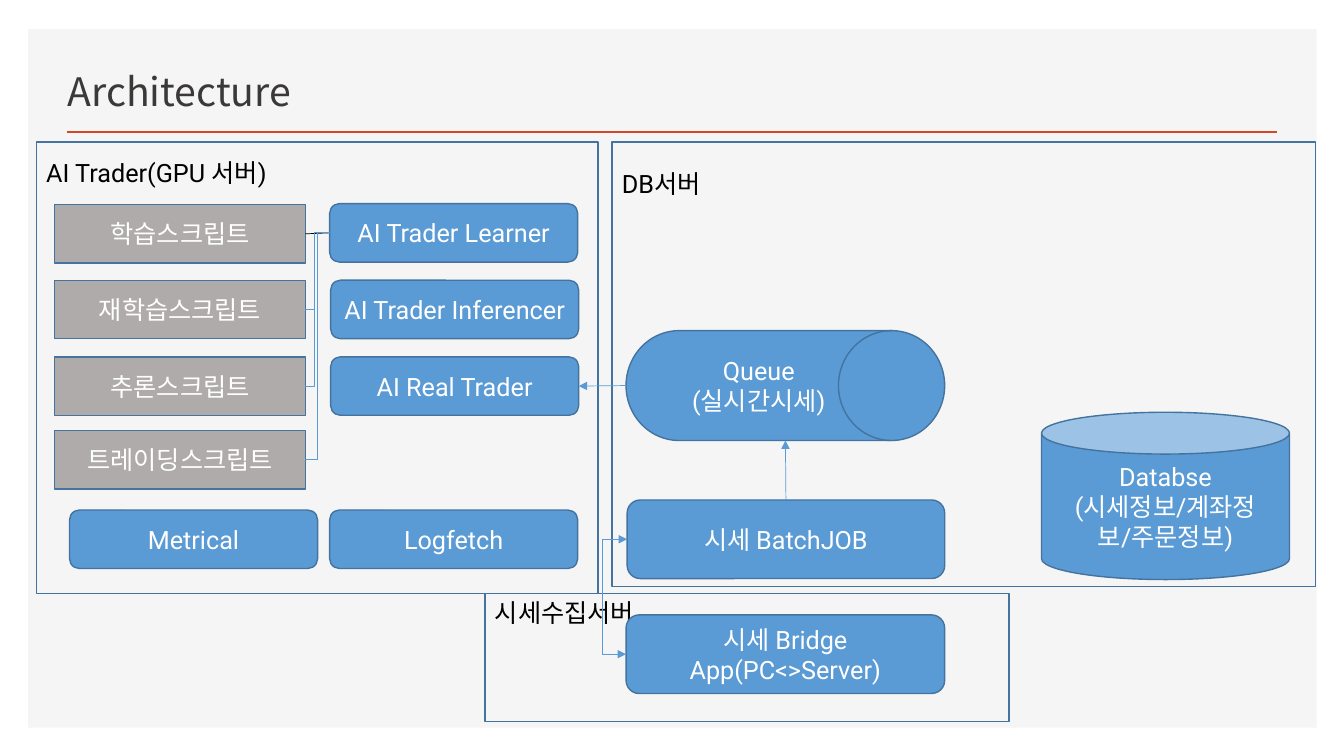
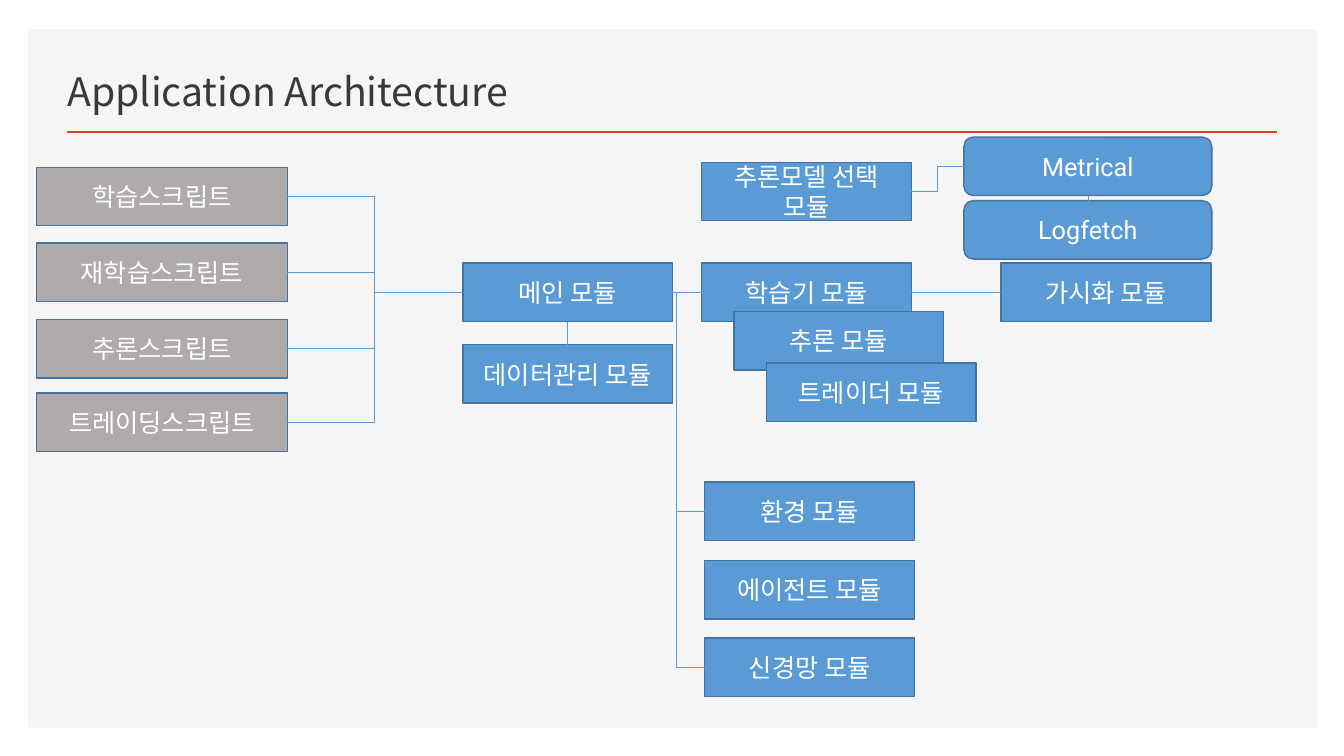
"""Build two architecture slides made of labelled boxes and links."""
from dataclasses import dataclass
from typing import Any, NamedTuple, Optional

from lxml.etree import SubElement
from pptx import Presentation
from pptx.dml.color import RGBColor
from pptx.enum.shapes import MSO_CONNECTOR, MSO_SHAPE
from pptx.enum.text import MSO_ANCHOR, MSO_AUTO_SIZE, PP_ALIGN
from pptx.oxml.ns import qn
from pptx.util import Inches, Pt

TOP, LEFT, BOTTOM, RIGHT = range(4)


@dataclass(frozen=True)
class Theme:
    """Colours, fonts and sizes shared by the slides."""
    canvas: str = "F5F5F5"
    rule: str = "D24726"
    title: str = "3B3838"
    blue: str = "5B9BD5"
    gray: str = "AFABAB"
    border: str = "43739E"
    white: str = "FFFFFF"
    black: str = "000000"
    title_font: str = "Noto Sans CJK KR"
    body_font: str = "Roboto"
    title_size: float = 28
    body_size: float = 18
    rule_width: float = 2
    border_width: float = 1
    link_width: float = 0.5


THEME = Theme()


class Box(NamedTuple):
    """A filled box; its first line of text is its key."""
    text: str
    left: float
    top: float
    width: float
    height: float = 0.58
    fill: str = THEME.blue
    kind: MSO_SHAPE = MSO_SHAPE.ROUNDED_RECTANGLE


class Panel(NamedTuple):
    """An outlined server area with its label near the top."""
    text: str
    left: float
    top: float
    width: float
    height: float
    label_gap: float


class Link(NamedTuple):
    """A connector between two box sides, optionally turning at a given x."""
    start: str
    start_side: int
    end: str
    end_side: int
    elbow: bool = False
    turn: Optional[float] = None
    heads: tuple[str, ...] = ()
    color: str = THEME.blue


SCRIPTS = ("학습스크립트", "재학습스크립트", "추론스크립트", "트레이딩스크립트")


def script_boxes(left: float, top: float) -> list[Box]:
    """Return the column of script boxes."""
    return [Box(name, left, top + offset, 2.49, fill=THEME.gray, kind=MSO_SHAPE.RECTANGLE)
            for name, offset in zip(SCRIPTS, (0, 0.75, 1.51, 2.24))]


def tool_box(name: str, left: float, top: float) -> Box:
    """Return a rounded tool box."""
    return Box(name, left, top, 2.46)


def module_box(name: str, left: float, top: float) -> Box:
    """Return a square-cornered module box."""
    return Box(f"{name} 모듈", left, top, 2.08, kind=MSO_SHAPE.RECTANGLE)


def apply(target: Any, values: dict[str, Any]) -> None:
    """Set attributes from a dict of values."""
    for name, value in values.items():
        setattr(target, name, value)


def format_line(line: Any, color: str, width: float) -> None:
    """Give a line its colour and width."""
    line.color.rgb = RGBColor.from_string(color)
    line.width = Pt(width)


def write(frame: Any, text: str, color: str, align: PP_ALIGN,
          font: str = THEME.body_font, size: float = THEME.body_size) -> None:
    """Write and format one paragraph per line of text."""
    frame.text = text
    for para in frame.paragraphs:
        para.alignment = align
        for span in para.runs:
            apply(span.font, {"name": font, "size": Pt(size)})
            span.font.color.rgb = RGBColor.from_string(color)


def add_block(page: Any, kind: MSO_SHAPE, area: tuple[float, ...], fill: Optional[str]) -> Any:
    """Add a shadowless shape with an optional fill."""
    shape = page.shapes.add_shape(kind, *map(Inches, area))
    shape.shadow.inherit = False
    if fill:
        shape.fill.solid()
        shape.fill.fore_color.rgb = RGBColor.from_string(fill)
    else:
        shape.fill.background()
    return shape


def add_box(page: Any, box: Box) -> Any:
    """Add a box with centred white text."""
    shape = add_block(page, box.kind, box[1:5], box.fill)
    format_line(shape.line, THEME.border, THEME.border_width)
    apply(shape.text_frame, {"word_wrap": True, "vertical_anchor": MSO_ANCHOR.MIDDLE})
    write(shape.text_frame, box.text, THEME.white, PP_ALIGN.CENTER)
    return shape


def add_panel(page: Any, panel: Panel) -> None:
    """Add a server outline with its label."""
    shape = add_block(page, MSO_SHAPE.RECTANGLE, panel[1:5], None)
    format_line(shape.line, THEME.border, THEME.border_width)
    apply(shape.text_frame, {"word_wrap": True, "vertical_anchor": MSO_ANCHOR.TOP,
                             "margin_top": Inches(panel.label_gap)})
    write(shape.text_frame, panel.text, THEME.black, PP_ALIGN.LEFT)


def add_line(page: Any, kind: MSO_CONNECTOR, ends: tuple[float, ...],
             color: str, width: float) -> Any:
    """Add a shadowless connector."""
    line = page.shapes.add_connector(kind, *map(Inches, ends))
    format_line(line.line, color, width)
    SubElement(line._element.spPr, qn("a:effectLst"))
    return line


def add_link(page: Any, boxes: dict[str, Any], link: Link) -> None:
    """Join two boxes with a connector."""
    kind = MSO_CONNECTOR.ELBOW if link.elbow else MSO_CONNECTOR.STRAIGHT
    line = add_line(page, kind, (0, 0, 1, 1), link.color, THEME.link_width)
    line.begin_connect(boxes[link.start], link.start_side)
    line.end_connect(boxes[link.end], link.end_side)
    if link.turn is not None:
        ratio = (Inches(link.turn) - line.begin_x) / (line.end_x - line.begin_x)
        guides = line._element.spPr.find(qn("a:prstGeom")).get_or_add_avLst()
        SubElement(guides, qn("a:gd"), name="adj1", fmla=f"val {round(ratio * 100000)}")
    for head in link.heads:
        SubElement(line.line._get_or_add_ln(), qn(f"a:{head}"), type="triangle")


def decorate_layout(layout: Any, page: Any) -> None:
    """Put the canvas and title rule on the layout."""
    canvas = add_block(page, MSO_SHAPE.RECTANGLE, (0.28, 0.29, 12.78, 6.93), THEME.canvas)
    canvas.line.fill.background()
    rule = add_line(page, MSO_CONNECTOR.STRAIGHT, (0.66, 1.31, 12.67, 1.31),
                    THEME.rule, THEME.rule_width)
    for position, shape in enumerate((canvas, rule), start=2):
        layout.shapes._spTree.insert(position, shape._element)


def fill_page(page: Any, title: str, panels: list[Panel],
              boxes: list[Box], links: list[Link]) -> None:
    """Draw the title, panels, boxes and links of a slide."""
    heading = page.shapes.title
    apply(heading, {"left": Inches(0.57), "top": Inches(0.49),
                    "width": Inches(7.52), "height": Inches(0.7)})
    apply(heading.text_frame, {"word_wrap": True, "vertical_anchor": MSO_ANCHOR.BOTTOM,
                               "auto_size": MSO_AUTO_SIZE.NONE})
    write(heading.text_frame, title, THEME.title, PP_ALIGN.LEFT,
          THEME.title_font, THEME.title_size)
    heading.text_frame.paragraphs[0].line_spacing = 0.9
    for panel in panels:
        add_panel(page, panel)
    shapes = {box.text.split("\n")[0]: add_box(page, box) for box in boxes}
    for link in links:
        add_link(page, shapes, link)


def draw_servers(page: Any) -> None:
    """Draw the server architecture."""
    learner, trader = "AI Trader Learner", "AI Real Trader"
    batch, bridge = "시세 BatchJOB", "시세 Bridge App(PC<>Server)"
    panels = [
        Panel("AI Trader(GPU 서버)", 0.36, 1.41, 5.57, 4.48, 0.15),
        Panel("시세수집서버", 4.81, 5.89, 5.2, 1.27, 0.04),
        Panel("DB서버", 6.07, 1.41, 6.98, 4.41, 0.26),
    ]
    boxes = script_boxes(0.54, 2.03) + [
        Box("Databse\n(시세정보/계좌정보/주문정보)", 10.33, 4.09, 2.46, 1.66, kind=MSO_SHAPE.CAN),
        Box("Queue\n(실시간시세)", 6.21, 3.28, 3.16, 1.09,
            kind=MSO_SHAPE.FLOWCHART_DIRECT_ACCESS_STORAGE),
        tool_box("Logfetch", 3.27, 5.06),
        tool_box("Metrical", 0.69, 5.06),
        tool_box(learner, 3.27, 2.02),
        tool_box("AI Trader Inferencer", 3.28, 2.78),
        tool_box(trader, 3.28, 3.54),
        Box(bridge, 6.21, 6.1, 3.16, 0.78),
        Box(batch, 6.22, 4.96, 3.15, 0.78),
    ]
    links = [Link(SCRIPTS[0], RIGHT, learner, LEFT, color=THEME.black)]
    links += [Link(name, RIGHT, learner, LEFT, True, turn)
              for name, turn in zip(SCRIPTS[1:], (3.12, 3.12, 3.15))]
    links += [
        Link("Queue", LEFT, trader, RIGHT, heads=("tailEnd",)),
        Link(batch, LEFT, bridge, LEFT, True, 5.97, ("headEnd", "tailEnd")),
        Link(batch, TOP, "Queue", BOTTOM, heads=("tailEnd",)),
    ]
    fill_page(page, "Architecture", panels, boxes, links)


def draw_modules(page: Any) -> None:
    """Draw the application modules."""
    main_module, learner, chooser = "메인 모듈", "학습기 모듈", "추론모델 선택 모듈"
    boxes = script_boxes(0.36, 1.66) + [
        module_box(name, left, top) for name, left, top in (
            ("메인", 4.59, 2.61), ("데이터관리", 4.59, 3.42), ("학습기", 6.96, 2.61),
            ("환경", 6.99, 4.78), ("에이전트", 6.99, 5.56), ("신경망", 6.99, 6.33),
            ("가시화", 9.93, 2.61), ("추론", 7.28, 3.09), ("트레이더", 7.6, 3.6),
            ("추론모델 선택", 6.96, 1.61))
    ] + [tool_box("Logfetch", 9.56, 1.99), tool_box("Metrical", 9.56, 1.36)]
    links = [Link(name, RIGHT, main_module, LEFT, True, 3.71) for name in SCRIPTS]
    links += [Link(main_module, RIGHT, name, LEFT, True, 6.71)
              for name in ("환경 모듈", "신경망 모듈")]
    links += [
        Link(main_module, BOTTOM, "데이터관리 모듈", TOP),
        Link(main_module, RIGHT, learner, LEFT),
        Link(learner, RIGHT, "가시화 모듈", LEFT),
        Link("Metrical", LEFT, chooser, RIGHT, True, 9.3),
        Link("Logfetch", TOP, "Metrical", BOTTOM),
    ]
    fill_page(page, "Application Architecture", [], boxes, links)


def main() -> None:
    """Build and save the deck."""
    deck = Presentation()
    apply(deck, {"slide_width": Inches(13.33), "slide_height": Inches(7.5)})
    layout = deck.slide_layouts[5]
    pages = [deck.slides.add_slide(layout) for _ in range(2)]
    decorate_layout(layout, pages[0])
    for draw, page in zip((draw_servers, draw_modules), pages):
        draw(page)
    deck.save("out.pptx")


if __name__ == "__main__":
    main()
